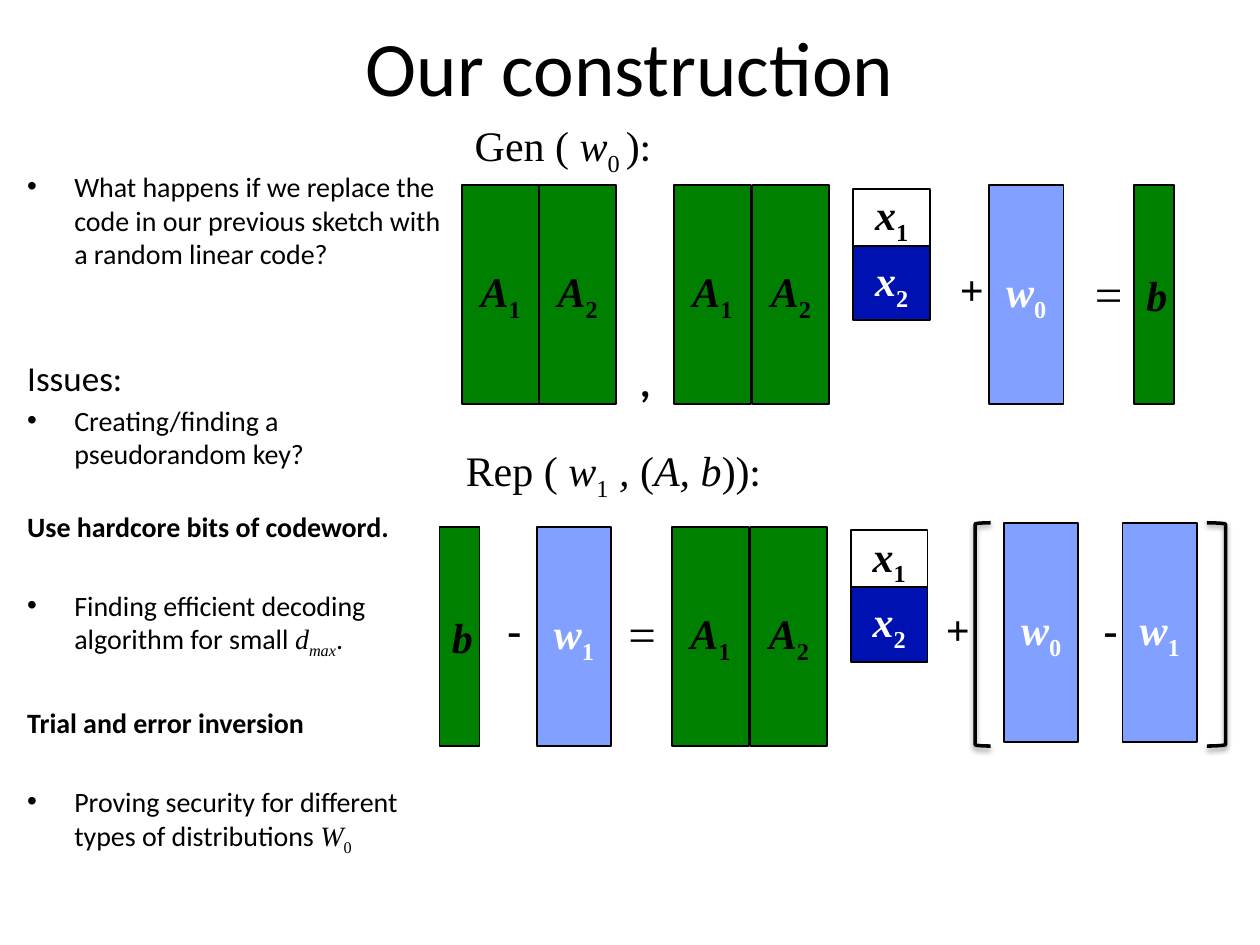
import lxml.etree
import pptx
import pptx.dml.color
import pptx.enum.shapes
import pptx.enum.text
import pptx.oxml
import pptx.oxml.ns
import pptx.util

Cm = pptx.util.Cm
Pt = pptx.util.Pt
SERIF = "Times New Roman"
SANS = "Calibri"
CENTER = pptx.enum.text.PP_ALIGN.CENTER
MIDDLE = pptx.enum.text.MSO_ANCHOR.MIDDLE
RECTANGLE = pptx.enum.shapes.MSO_SHAPE.RECTANGLE
LEFT_BRACKET = pptx.enum.shapes.MSO_SHAPE.LEFT_BRACKET


def color(hex_string):
    return pptx.dml.color.RGBColor.from_string(hex_string)


def add_run(paragraph, text, size=24, font=SERIF, fill="000000",
            bold=False, italic=False, subscript=False):
    run = paragraph.add_run()
    run.text = text
    run.font.size = Pt(size)
    run.font.name = font
    run.font.color.rgb = color(fill)
    run.font.bold = bold
    run.font.italic = italic
    if subscript:
        run._r.get_or_add_rPr().set("baseline", "-25000")


presentation = pptx.Presentation()
presentation.slide_width = Cm(25.4)
presentation.slide_height = Cm(19.05)
slide = presentation.slides.add_slide(presentation.slide_layouts[6])
shapes = slide.shapes

# Title
title = shapes.add_textbox(Cm(1.27), Cm(-0.25), Cm(22.86), Cm(3.17)).text_frame
title.word_wrap = True
title.vertical_anchor = MIDDLE
title.paragraphs[0].alignment = CENTER
add_run(title.paragraphs[0], "Our construction", size=44, font=SANS)

# Algorithm headings
italic = {"italic": True}
subscript = {"subscript": True}
sans = {"font": SANS}
headings = [
    (9.32, 2.29, 4.24, [("Gen ( ", {}), ("w", italic), ("0 ", subscript),
                        (")", {}), (":", sans)]),
    (9.14, 8.84, 6.55, [("Rep ( ", {}), ("w", italic), ("1", subscript),
                        (" , ", italic), ("(", {}), ("A, b", italic),
                        ("))", {}), (":", sans)]),
]
for left, top, width, runs in headings:
    frame = shapes.add_textbox(Cm(left), Cm(top), Cm(width), Cm(1.27)).text_frame
    frame.word_wrap = False
    for text, text_format in runs:
        add_run(frame.paragraphs[0], text, **text_format)

# Matrix and vector blocks: fill, text colour, width, height by label
block_styles = {
    "A1": ("008000", "000000", 1.55, 4.42),
    "A2": ("008000", "000000", 1.55, 4.42),
    "b": ("008000", "000000", 0.81, 4.42),
    "w0": ("82A0FF", "FFFFFF", 1.5, 4.42),
    "w1": ("82A0FF", "FFFFFF", 1.5, 4.42),
    "x1": (None, "000000", 1.55, 1.15),
    "x2": ("0011B2", "FFFFFF", 1.55, 1.5),
}
blocks = [
    ("A1", 9.32, 3.73), ("A2", 10.87, 3.73),
    ("A1", 13.59, 3.73), ("A2", 15.17, 3.73),
    ("x1", 17.2, 3.81), ("x2", 17.2, 4.96),
    ("w0", 19.94, 3.73), ("b", 22.86, 3.73),
    ("b", 8.86, 10.62), ("w1", 10.82, 10.62),
    ("A1", 13.55, 10.62), ("A2", 15.13, 10.62),
    ("x1", 17.15, 10.69), ("x2", 17.15, 11.84),
    ("w0", 20.24, 10.54), ("w1", 22.63, 10.54),
]
for label, left, top in blocks:
    fill, text_fill, width, height = block_styles[label]
    shape = shapes.add_shape(RECTANGLE, Cm(left), Cm(top), Cm(width), Cm(height))
    shape.shadow.inherit = False
    if fill:
        shape.fill.solid()
        shape.fill.fore_color.rgb = color(fill)
    else:
        shape.fill.background()
    shape.line.color.rgb = color("000000")
    shape.line.width = Pt(1)
    shape.text_frame.vertical_anchor = MIDDLE
    paragraph = shape.text_frame.paragraphs[0]
    paragraph.alignment = CENTER
    add_run(paragraph, label[0], fill=text_fill, bold=True, italic=True)
    if label[1:]:
        add_run(paragraph, label[1:], fill=text_fill, bold=True, subscript=True)

# Operators between the blocks
operator_formats = {
    "+": {"bold": True},
    "-": {"bold": True},
    "=": {"size": 28},
    ",": {"bold": True, "font": SANS},
}
operators = [
    (",", 12.65, 7.04), ("+", 19.1, 5.18), ("=", 21.82, 5.18),
    ("-", 9.98, 12.04), ("=", 12.42, 12.04), ("+", 18.82, 12.04), ("-", 22, 12.04),
]
for symbol, left, top in operators:
    frame = shapes.add_textbox(Cm(left), Cm(top), Cm(0.72), Cm(1.27)).text_frame
    frame.word_wrap = symbol != ","
    frame.paragraphs[0].alignment = CENTER
    add_run(frame.paragraphs[0], symbol, **operator_formats[symbol])

# Brackets around the difference of w0 and w1
for left, width, flipped in [(19.66, 0.31, False), (24.33, 0.38, True)]:
    bracket = shapes.add_shape(LEFT_BRACKET, Cm(left), Cm(10.54), Cm(width), Cm(4.5))
    bracket.fill.background()
    bracket.line.color.rgb = color("000000")
    bracket.line.width = Pt(2)
    properties = bracket._element.spPr
    if flipped:
        properties.find(pptx.oxml.ns.qn("a:xfrm")).set("flipH", "1")
    properties.append(pptx.oxml.parse_xml(
        f'<a:effectLst {pptx.oxml.ns.nsdecls("a")}>'
        '<a:outerShdw blurRad="40000" dist="20000" dir="5400000" rotWithShape="0">'
        '<a:srgbClr val="000000"><a:alpha val="38000"/></a:srgbClr>'
        '</a:outerShdw></a:effectLst>'))

# Discussion: bulleted, space before in points, runs
body = {"size": 16, "font": SANS}
strong = {"size": 16, "font": SANS, "bold": True}
discussion = [
    (True, 0, [("What happens if we replace the code in our previous sketch "
                "with a random linear code?", body)]),
    (False, 49, [("Issues:", {"size": 20, "font": SANS})]),
    (True, 3, [("Creating/finding a pseudorandom key?", body)]),
    (False, 22, [("Use hardcore bits of codeword.", strong)]),
    (True, 26, [("Finding efficient decoding algorithm for small ", body),
                ("d", {"size": 16, "italic": True}),
                ("max", {"size": 16, "italic": True, "subscript": True}),
                (".", body)]),
    (False, 26, [("Trial and error inversion", strong)]),
    (True, 26, [("Proving security for different types of distributions ", body),
                ("W", {"size": 16, "italic": True}),
                ("0", {"size": 16, "subscript": True})]),
]
frame = shapes.add_textbox(Cm(0.3), Cm(3.18), Cm(8.89), Cm(13.59)).text_frame
frame.word_wrap = True
frame.margin_top = Cm(0.24)
for index, (bulleted, space_before, runs) in enumerate(discussion):
    paragraph = frame.add_paragraph() if index else frame.paragraphs[0]
    paragraph.space_before = Pt(space_before)
    if bulleted:
        properties = paragraph._p.get_or_add_pPr()
        properties.set("marL", str(Cm(0.95)))
        properties.set("indent", str(-Cm(0.95)))
        bullet_font = lxml.etree.SubElement(properties, pptx.oxml.ns.qn("a:buFont"))
        bullet_font.set("typeface", "Arial")
        bullet = lxml.etree.SubElement(properties, pptx.oxml.ns.qn("a:buChar"))
        bullet.set("char", "•")
    for text, text_format in runs:
        add_run(paragraph, text, **text_format)

presentation.save("out.pptx")
